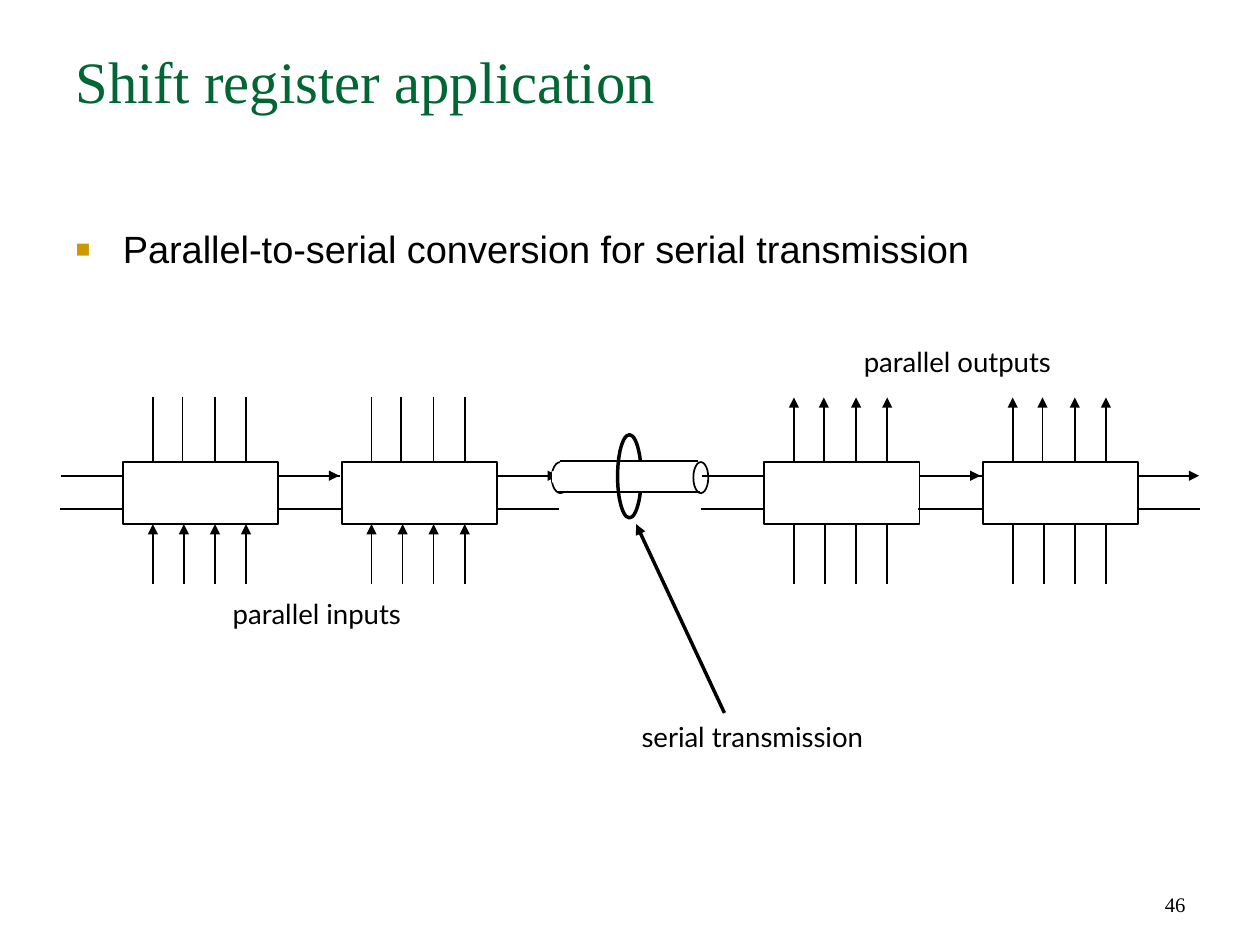
from lxml import etree
from pptx import Presentation
from pptx import util as u
from pptx.dml.color import RGBColor
from pptx.enum import shapes, text
from pptx.oxml import ns

BLACK, WHITE, GREEN, GOLD = "000000", "FFFFFF", "006633", "CC9900"


def colour(hex_value):
    return RGBColor.from_string(hex_value)


def add_element(parent, tag, **attributes):
    return etree.SubElement(parent, ns.qn(tag), attributes)


class Sketch:
    def __init__(self, slide):
        self.slide = slide
        self.target = slide.shapes

    def start_group(self):
        self.target = self.slide.shapes.add_group_shape().shapes

    def end_group(self):
        self.target = self.slide.shapes

    def add_words(self, frame, words, font, size, ink=BLACK, margins=(0.1, 0.05)):
        frame.margin_left = frame.margin_right = u.Inches(margins[0])
        frame.margin_top = frame.margin_bottom = u.Inches(margins[1])
        frame.auto_size = text.MSO_AUTO_SIZE.NONE
        paragraph = frame.paragraphs[0]
        run = paragraph.add_run()
        run.text = words
        run.font.name = font
        run.font.size = u.Pt(size)
        run.font.color.rgb = colour(ink)
        return paragraph

    def title(self, words, box):
        heading = self.slide.shapes.title
        heading.left, heading.top, heading.width, heading.height = map(u.Inches, box)
        heading.text_frame.vertical_anchor = text.MSO_ANCHOR.TOP
        paragraph = self.add_words(heading.text_frame, words, "Times New Roman", 34, GREEN)
        paragraph.alignment = text.PP_ALIGN.LEFT

    def text_box(self, box, wrap=True):
        frame = self.target.add_textbox(*map(u.Inches, box)).text_frame
        frame.word_wrap = wrap
        return frame

    def bullet(self, words, box):
        paragraph = self.add_words(self.text_box(box), words, "Arial", 22)
        properties = paragraph._p.get_or_add_pPr()
        indent = u.Inches(0.38)
        properties.set("marL", str(indent))
        properties.set("indent", str(-indent))
        add_element(add_element(properties, "a:buClr"), "a:srgbClr", val=GOLD)
        add_element(properties, "a:buSzPct", val="65000")
        add_element(properties, "a:buFont", typeface="Arial")
        add_element(properties, "a:buChar", char="■")

    def label(self, words, box):
        frame = self.text_box(box, wrap=False)
        paragraph = self.add_words(frame, words, "Lato", 16, margins=(0.02, 0.03))
        paragraph.alignment = text.PP_ALIGN.CENTER
        paragraph.line_spacing = u.Pt(18)

    def page_number(self, words, box):
        frame = self.text_box(box)
        frame.vertical_anchor = text.MSO_ANCHOR.BOTTOM
        paragraph = self.add_words(frame, words, "Times New Roman", 12)
        paragraph.alignment = text.PP_ALIGN.RIGHT

    def shape(self, kind, box, fill=None, line=BLACK, weight=1):
        drawn = self.target.add_shape(kind, *map(u.Inches, box))
        drawn.shadow.inherit = False
        if fill:
            drawn.fill.solid()
            drawn.fill.fore_color.rgb = colour(fill)
        else:
            drawn.fill.background()
        drawn.line.color.rgb = colour(line)
        drawn.line.width = u.Pt(weight)

    def block(self, box, line=BLACK):
        self.shape(shapes.MSO_SHAPE.RECTANGLE, box, WHITE, line)

    def ellipse(self, box, weight=1):
        self.shape(shapes.MSO_SHAPE.OVAL, box, weight=weight)

    def wire(self, x1, y1, x2, y2, arrow=False, weight=1):
        ends = map(u.Inches, (x1, y1, x2, y2))
        drawn = self.target.add_connector(shapes.MSO_CONNECTOR.STRAIGHT, *ends)
        drawn.line.color.rgb = colour(BLACK)
        drawn.line.width = u.Pt(weight)
        properties = drawn._element.spPr
        if arrow:
            add_element(properties.find(ns.qn("a:ln")), "a:tailEnd", type="triangle")
        add_element(properties, "a:effectLst")

    def register(self, left, sends):
        top, bottom, width = 3.72, 4.22, 1.25
        data, clock = 3.83, 4.1
        right = left + width
        self.block((left, top, width, bottom - top))
        self.wire(left - 0.5, data, left - 0.01, data)
        self.wire(right, data, right + 0.49, data, arrow=True)
        self.wire(right + 0.5, clock, right - 0.01, clock)
        self.wire(left, clock, left - 0.51, clock)
        for upper, lower in ((0.24, 0.24), (0.48, 0.49), (0.74, 0.74), (0.99, 0.99)):
            self.wire(left + upper, top, left + upper, 3.2, arrow=not sends)
            self.wire(left + lower, 4.7, left + lower, bottom, arrow=sends)

    def cable(self):
        self.wire(4.51, 3.71, 5.62, 3.71)
        self.wire(4.49, 3.96, 5.63, 3.96)
        self.ellipse((4.44, 3.72, 0.14, 0.25))
        self.ellipse((5.58, 3.72, 0.12, 0.25))
        self.block((4.51, 3.73, 0.11, 0.22), WHITE)
        self.block((4.45, 3.8, 0.1, 0.08), WHITE)
        self.ellipse((4.97, 3.5, 0.19, 0.67), weight=2)
        self.block((5.1, 3.73, 0.11, 0.22), WHITE)


def main():
    deck = Presentation()
    deck.slide_width, deck.slide_height = u.Inches(10.14), u.Inches(7.6)
    sketch = Sketch(deck.slides.add_slide(deck.slide_layouts[5]))

    sketch.title("Shift register application", (0.51, 0.31, 9.12, 1.26))
    sketch.bullet("Parallel-to-serial conversion for serial transmission",
                  (0.51, 1.77, 9.12, 5.02))
    sketch.page_number("46", (7.27, 6.92, 2.37, 0.51))
    sketch.label("parallel inputs", (1.46, 4.79, 2.18, 0.39))
    sketch.label("parallel outputs", (6.6, 2.76, 2.21, 0.39))

    register_pitch = 1.76
    for first_left, sends in ((0.99, True), (6.15, False)):
        sketch.start_group()
        for index in range(2):
            sketch.register(first_left + index * register_pitch, sends)
        sketch.end_group()

    sketch.label("serial transmission", (4.4, 5.78, 3.31, 0.39))
    sketch.wire(5.83, 5.74, 5.12, 4.22, arrow=True, weight=2)
    sketch.start_group()
    sketch.cable()
    sketch.end_group()
    deck.save("out.pptx")


if __name__ == "__main__":
    main()
